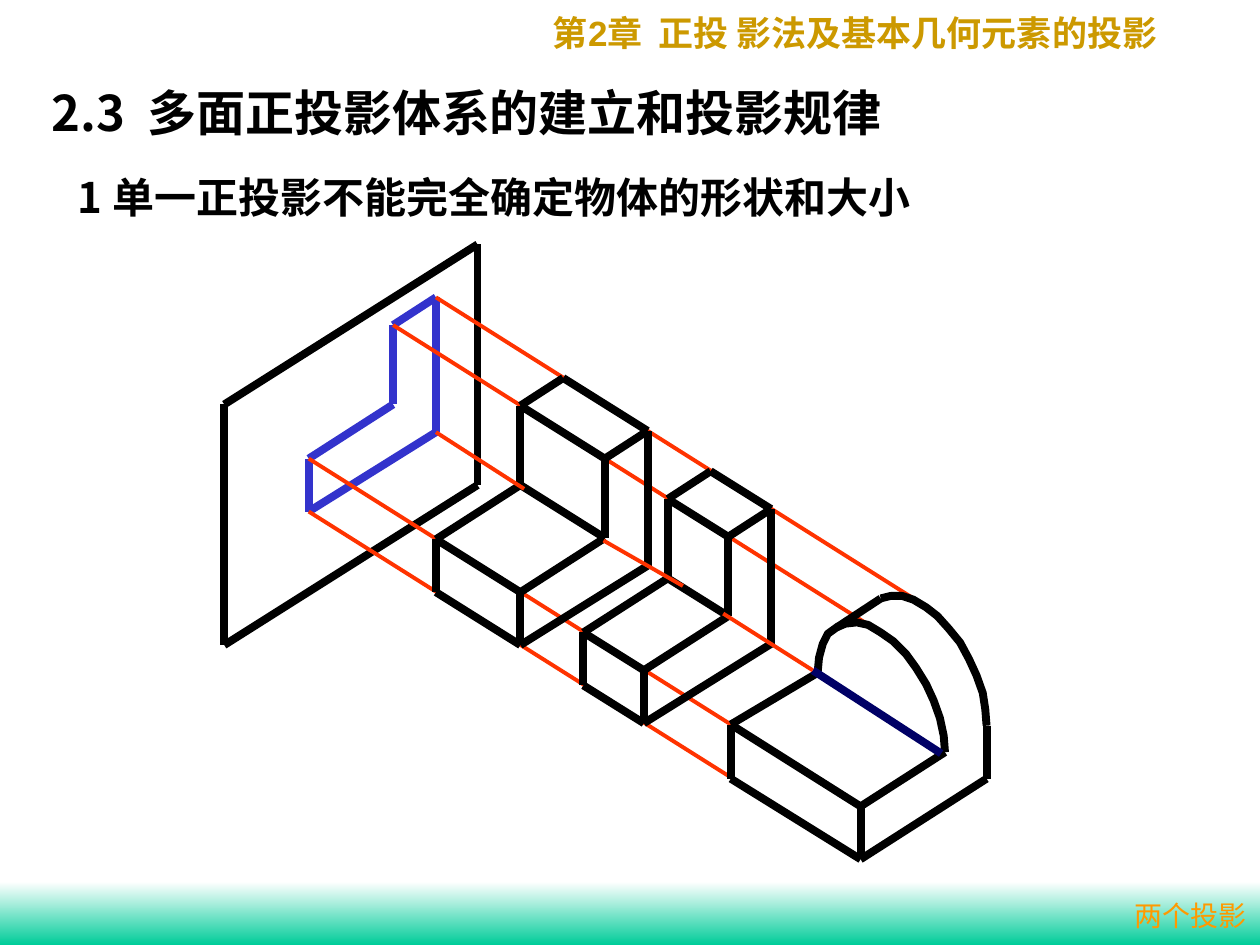
"""Builds a slide showing that one orthographic projection does not define an object."""
from itertools import pairwise

from lxml import etree
from pptx import Presentation
from pptx.dml.color import RGBColor
from pptx.enum.shapes import MSO_CONNECTOR, MSO_SHAPE
from pptx.enum.text import MSO_ANCHOR, PP_ALIGN
from pptx.oxml.ns import qn
from pptx.util import Inches, Pt

BLACK, BLUE, NAVY, RED = "000000", "3333CC", "000066", "FF3300"
CJK_FONT = "Noto Sans CJK SC"
color = RGBColor.from_string


def write(shape, runs, size, text_color, bold=True, wrap=True, align=PP_ALIGN.LEFT):
    frame = shape.text_frame
    frame.word_wrap = wrap
    frame.vertical_anchor = MSO_ANCHOR.MIDDLE
    paragraph = frame.paragraphs[0]
    paragraph.alignment = align
    for text, font_name in runs:
        run = paragraph.add_run()
        run.text = text
        run.font.name = font_name
        run.font.size = Pt(size)
        run.font.bold = bold
        run.font.color.rgb = color(text_color)
        east_asian = etree.SubElement(run.font._element, qn("a:ea"))
        east_asian.set("typeface", CJK_FONT)


def draw_edges(shapes, points, line_color=BLACK, width=4.5):
    for start, end in pairwise(points):
        edge = shapes.add_connector(
            MSO_CONNECTOR.STRAIGHT, *[Inches(value) for value in (*start, *end)])
        edge.line.color.rgb = color(line_color)
        edge.line.width = Pt(width)
        etree.SubElement(edge._element.spPr, qn("a:effectLst"))


presentation = Presentation()
presentation.slide_width = Inches(10)
presentation.slide_height = Inches(7.5)
slide = presentation.slides.add_slide(presentation.slide_layouts[5])

band = slide.shapes.add_shape(
    MSO_SHAPE.RECTANGLE, Inches(0), Inches(7), Inches(10), Inches(0.5))
band.shadow.inherit = False
band.line.fill.background()
band.fill.gradient()
band.fill.gradient_angle = 270
for stop, position, stop_color in zip(
        band.fill.gradient_stops, (0, 1), ("FFFFFF", "00CC99")):
    stop.position = position
    stop.color.rgb = color(stop_color)

header = slide.shapes.add_textbox(Inches(4.29), Inches(0.04), Inches(5.29), Inches(0.44))
write(header, [("第", "Times New Roman"), ("2", "Arial"),
               ("章  正投 影法及基本几何元素的投影", "Times New Roman")], 20, "CC9900")

drawing = slide.shapes.add_group_shape().shapes

draw_edges(drawing, [(3.79, 3.85), (3.79, 1.94), (1.78, 3.21), (1.78, 5.12), (3.79, 3.85)])

profile = [(2.45, 4.06), (2.45, 3.64), (3.12, 3.21),
           (3.12, 2.58), (3.46, 2.36), (3.46, 3.43)]
draw_edges(drawing, profile + profile[:1], BLUE)

rays = [[(3.46, 2.36), (7.33, 4.8)], [(3.12, 2.58), (6.99, 5.02)],
        [(2.45, 3.64), (6.15, 5.97)], [(2.45, 4.06), (6.15, 6.39)]]
for ray in rays:
    draw_edges(drawing, ray, RED, 2.25)

for (shift_x, shift_y), (depth_x, depth_y) in [
        ((1.68, 1.06), (0.67, 0.42)), ((2.66, 1.68), (0.48, 0.3))]:
    front = [(x + shift_x, y + shift_y) for x, y in profile]
    back = [(x - depth_x, y - depth_y) for x, y in front[:-1]]
    draw_edges(drawing, front + front[:1])
    draw_edges(drawing, back)
    for corner_pair in zip(front, back):
        draw_edges(drawing, corner_pair)

rounded_solid = [
    [(6.49, 5.34), (5.8, 5.75), (6.83, 6.4), (7.5, 5.97)],
    [(5.8, 5.75), (5.8, 6.18), (6.83, 6.82), (7.83, 6.18), (7.83, 5.76)],
    [(6.83, 6.82), (6.83, 6.4)],
    [(6.99, 4.75), (6.64, 4.98)],
]
for path in rounded_solid:
    draw_edges(drawing, path)

front_arc = [(7.5, 5.97), (7.49, 5.84), (7.46, 5.7), (7.41, 5.56), (7.35, 5.43),
             (7.27, 5.3), (7.19, 5.19), (7.09, 5.09), (6.99, 5.02), (6.89, 4.96),
             (6.8, 4.94), (6.71, 4.95), (6.64, 4.98), (6.57, 5.03), (6.53, 5.11),
             (6.5, 5.22), (6.49, 5.33)]
back_arc = [(7.83, 5.76), (7.82, 5.63), (7.8, 5.5), (7.75, 5.36), (7.69, 5.23),
            (7.62, 5.1), (7.53, 4.99), (7.44, 4.89), (7.35, 4.82), (7.25, 4.76),
            (7.16, 4.73), (7.07, 4.73), (6.99, 4.75)]
for arc in (front_arc, back_arc):
    start, *others = [(Inches(x), Inches(y)) for x, y in arc]
    builder = drawing.build_freeform(*start)
    builder.add_line_segments(others, close=False)
    curve = builder.convert_to_shape()
    curve.shadow.inherit = False
    curve.fill.background()
    curve.line.color.rgb = color(BLACK)
    curve.line.width = Pt(4.5)

draw_edges(drawing, [(6.45, 5.32), (7.47, 5.98)], NAVY)
for ray in [[(3.46, 3.43), (4.16, 3.88)], [(4.79, 4.29), (5.42, 4.65)],
            [(5.74, 4.87), (6.45, 5.32)]]:
    draw_edges(drawing, ray, RED, 2.25)

title = slide.shapes.title
title.left, title.top = Inches(0.31), Inches(0.68)
title.width, title.height = Inches(8), Inches(0.42)
write(title, [("2.3  多面正投影体系的建立和投影规律", CJK_FONT)], 28, BLACK, wrap=False)

subtitle = slide.shapes.add_textbox(Inches(0.52), Inches(1.31), Inches(7.24), Inches(0.5))
write(subtitle, [("1 单一正投影不能完全确定物体的形状和大小", CJK_FONT)], 24, BLACK)

label = slide.shapes.add_textbox(Inches(8.91), Inches(7.08), Inches(1.08), Inches(0.37))
label.text_frame.margin_left = label.text_frame.margin_right = Inches(0)
write(label, [("两个投影", CJK_FONT)], 16, "FF9900",
      bold=False, wrap=False, align=PP_ALIGN.CENTER)

presentation.save("out.pptx")
